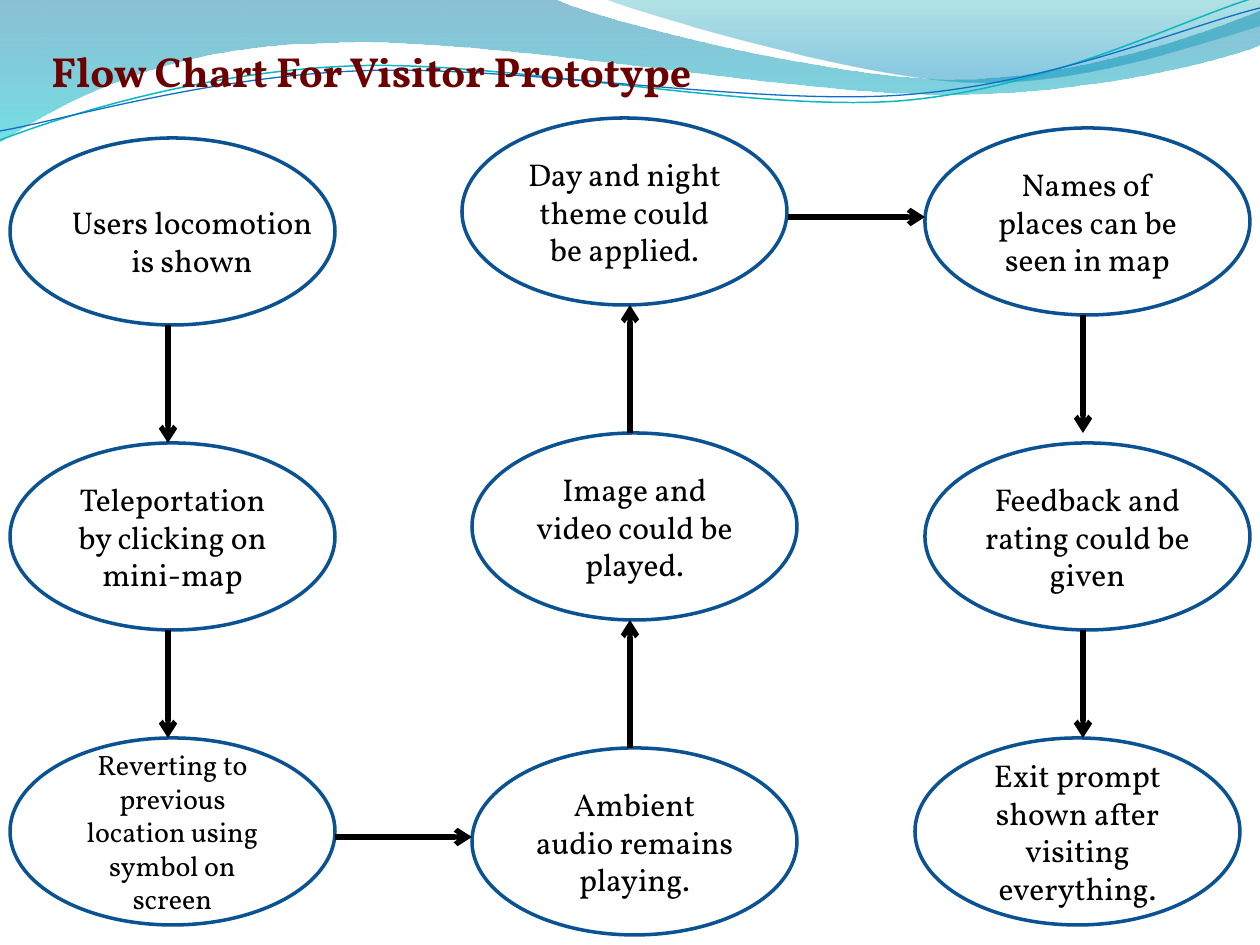
import pptx
import pptx.dml.color
import pptx.enum.shapes
import pptx.enum.text
import pptx.oxml
import pptx.oxml.ns
import pptx.util

PX = 914400 // 126
FONT = "Vollkorn"
COLORS = {
    "title": "6C0000", "text": "000000", "arrow": "000000", "oval": "0B5292",
    "blue": "0074A1", "cyan": "00C6CF", "teal": "00A1A9", "sky": "008BBF",
    "aqua_line": "0AB8BF", "blue_line": "0F6FC6",
}
OVAL_W, OVAL_H = 325, 187

# left, top, text, size
STEPS = [
    (10, 138, "", 18),
    (10, 443, "Teleportation by clicking on mini-map", 18),
    (10, 738, "Reverting to previous location using symbol on screen", 16),
    (472, 748, "Ambient audio remains playing.", 18),
    (472, 433, "Image and video could be played.", 18),
    (462, 118, "Day and night theme could be applied.", 18),
    (925, 128, "Names of places can be seen in map", 18),
    (925, 443, "Feedback and rating could be given", 18),
    (915, 738, "Exit prompt shown after visiting everything.", 18),
]
ARROWS = [
    (168, 325, 168, 443), (168, 630, 168, 738), (335, 837, 472, 837),
    (630, 748, 630, 620), (630, 433, 630, 305), (788, 217, 925, 217),
    (1083, 315, 1083, 433), (1083, 630, 1083, 738),
]
# Each path is a start point, then segments: 1 point is a line, 3 a Bezier curve.
# Gradient stops: position, colour, opacity in percent.
WAVES = [
    ([(0, 0), [(554, -1)],
      [(600, 21), (837, 79), (955, 79)], [(1074, 79), (1207, 33), (1260, 11)],
      [(1261, 45)],
      [(1239, 55), (1096, 96), (940, 94)], [(784, 94), (481, 35), (324, 43)],
      [(163, 45), (58, 105), (-1, 142)]],
     [(0, "blue", 45), (1, "cyan", 55)]),
    ([(604, -1),
      [(641, 14), (859, 78), (969, 82)], [(1079, 87), (1211, 40), (1260, 26)],
      [(1260, 0)]],
     [(0, "teal", 30), (0.8, "sky", 45)]),
]
WAVE_LINES = [
    ([(0, 140),
      [(60, 117), (199, 72), (349, 66)], [(498, 59), (747, 112), (898, 101)],
      [(1050, 89), (1182, 19), (1257, -3)]], "aqua_line", 0.85),
    ([(0, 131),
      [(59, 121), (207, 77), (357, 71)], [(508, 64), (752, 106), (903, 95)],
      [(1053, 84), (1186, 26), (1260, 8)]], "blue_line", 0.75),
]


def emu(*lengths):
    """Turn pixel lengths into EMU."""
    return [pptx.util.Emu(n * PX) for n in lengths]


def rgb(name):
    """Look up a colour."""
    return pptx.dml.color.RGBColor.from_string(COLORS[name])


def set_line(line, color, width):
    """Give a line its colour and width."""
    line.color.rgb = rgb(color)
    line.width = pptx.util.Pt(width)


def add_outline(slide, path, close):
    """Draw a freeform whose three-point segments are Bezier curves."""
    start, *segments = path
    builder = slide.shapes.build_freeform(*start, scale=PX)
    builder.add_line_segments([pt for seg in segments for pt in seg], close=close)
    sp = builder.convert_to_shape()
    sp.shadow.inherit = False
    lines = iter(list(sp._element.iter(pptx.oxml.ns.qn("a:lnTo"))))
    for segment in segments:
        first, *rest = [next(lines) for _ in segment]
        if rest:
            curve = pptx.oxml.parse_xml(f'<a:cubicBezTo {pptx.oxml.ns.nsdecls("a")}/>')
            first.addprevious(curve)
            for line in (first, *rest):
                curve.append(line[0])
                line.getparent().remove(line)
    return sp


def add_wave(slide, path, stops):
    """Draw a wave with a translucent gradient running downwards."""
    sp = add_outline(slide, path, True)
    sp.line.fill.background()
    sp.fill.gradient()
    sp.fill.gradient_angle = 270
    for stop, (position, color, _) in zip(sp.fill.gradient_stops, stops):
        stop.position = position
        stop.color.rgb = rgb(color)
    clrs = sp._element.spPr.iter(pptx.oxml.ns.qn("a:srgbClr"))
    for clr, (_, _, opacity) in zip(list(clrs), stops):
        clr.append(pptx.oxml.parse_xml(
            f'<a:alpha {pptx.oxml.ns.nsdecls("a")} val="{opacity * 1000}"/>'))


def add_wave_line(slide, path, color, width):
    """Draw an open curved line."""
    sp = add_outline(slide, path, False)
    sp.fill.background()
    set_line(sp.line, color, width)


def write(sp, text, size, color="text", bold=False, centered=True):
    """Write one paragraph into a shape."""
    tf = sp.text_frame
    tf.word_wrap = True
    p = tf.paragraphs[0]
    p.text = text
    p.alignment = pptx.enum.text.PP_ALIGN.CENTER if centered else pptx.enum.text.PP_ALIGN.LEFT
    p.font.name = FONT
    p.font.size = pptx.util.Pt(size)
    p.font.bold = bold
    p.font.color.rgb = rgb(color)


def add_text(slide, box, text, size, **style):
    """Add a text box that grows with its text."""
    sp = slide.shapes.add_textbox(*emu(*box))
    write(sp, text, size, **style)
    sp.text_frame.auto_size = pptx.enum.text.MSO_AUTO_SIZE.SHAPE_TO_FIT_TEXT


def add_step(slide, left, top, text, size):
    """Add an outlined oval for one step."""
    sp = slide.shapes.add_shape(pptx.enum.shapes.MSO_SHAPE.OVAL,
                                *emu(left, top, OVAL_W, OVAL_H))
    sp.shadow.inherit = False
    sp.fill.background()
    set_line(sp.line, "oval", 2)
    sp.text_frame.vertical_anchor = pptx.enum.text.MSO_ANCHOR.MIDDLE
    if text:
        write(sp, text, size)


def add_arrow(slide, *ends):
    """Add a straight arrow between two points."""
    cxn = slide.shapes.add_connector(pptx.enum.shapes.MSO_CONNECTOR.STRAIGHT, *emu(*ends))
    set_line(cxn.line, "arrow", 3)
    ns = pptx.oxml.ns.nsdecls("a")
    ln = cxn._element.spPr.find(pptx.oxml.ns.qn("a:ln"))
    ln.append(pptx.oxml.parse_xml(f'<a:tailEnd {ns} type="arrow"/>'))
    cxn._element.spPr.append(pptx.oxml.parse_xml(f"<a:effectLst {ns}/>"))


def main():
    """Build the flow chart slide."""
    prs = pptx.Presentation()
    prs.slide_width, prs.slide_height = pptx.util.Inches(10), pptx.util.Inches(7.5)
    slide = prs.slides.add_slide(prs.slide_layouts[6])
    for wave in WAVES:
        add_wave(slide, *wave)
    for wave_line in WAVE_LINES:
        add_wave_line(slide, *wave_line)
    add_text(slide, (39, 39, 689, 63), "Flow Chart For Visitor Prototype", 24,
             color="title", bold=True, centered=False)
    add_text(slide, (49, 197, 286, 89), "Users locomotion is shown", 18)
    for step in STEPS:
        add_step(slide, *step)
    for arrow in ARROWS:
        add_arrow(slide, *arrow)
    prs.save("out.pptx")


main()
